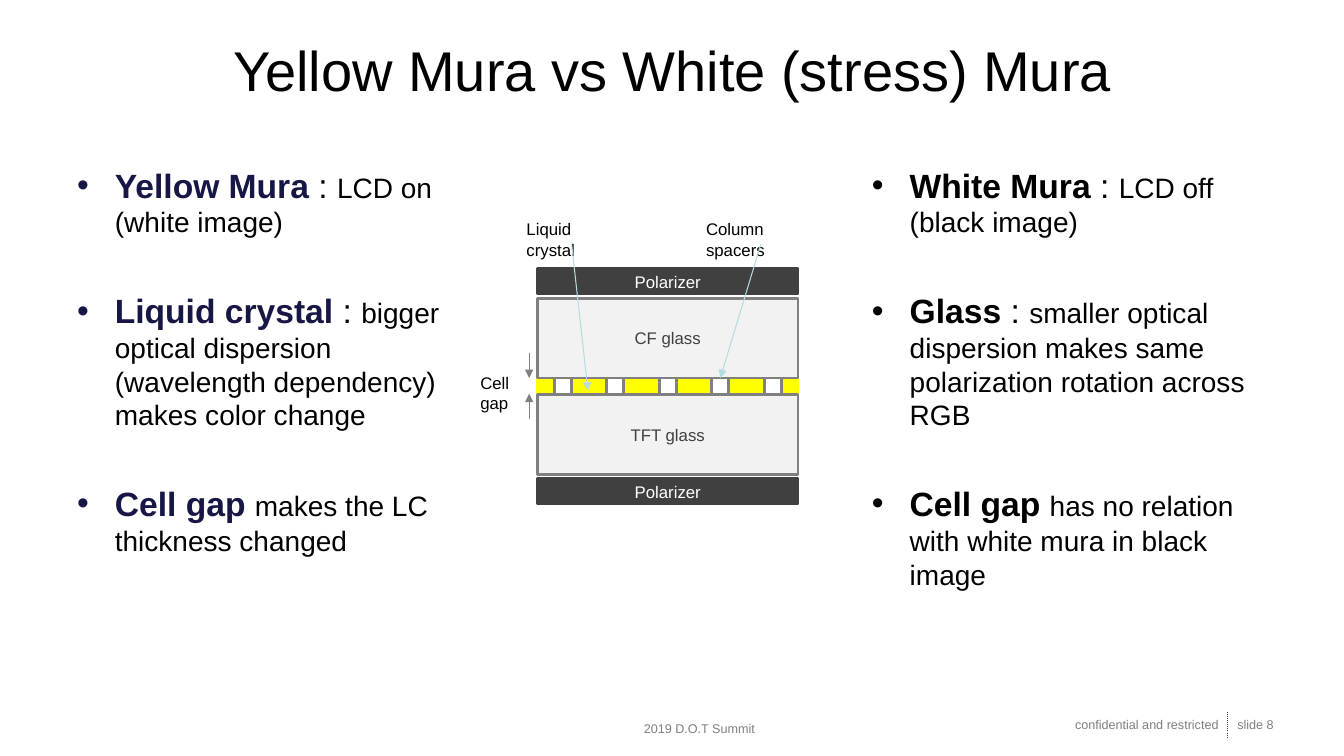
from pptx import Presentation
from pptx.dml.color import RGBColor
from pptx.enum.dml import MSO_LINE
from pptx.enum.shapes import MSO_CONNECTOR, MSO_SHAPE
from pptx.enum.text import MSO_ANCHOR, PP_ALIGN
from pptx.oxml.ns import qn
from pptx.util import Emu, Pt
from lxml import etree

LEFT, MID, RIGHT = PP_ALIGN.LEFT, PP_ALIGN.CENTER, PP_ALIGN.RIGHT
TOP, CENTER = MSO_ANCHOR.TOP, MSO_ANCHOR.MIDDLE
RECT, LINE = MSO_SHAPE.RECTANGLE, MSO_CONNECTOR.STRAIGHT
DOTS = MSO_LINE.ROUND_DOT

BLACK, WHITE, NAVY = "000000", "FFFFFF", "171745"
DARK, GREY, DIM, PALE = "404040", "808080", "7F7F7F", "F2F2F2"
YELLOW, TEAL = "FFFF00", "B6DCDF"


def px(*sizes):
    return [Emu(size * 9525) for size in sizes]


def color(code):
    return RGBColor.from_string(code)


class Deck:
    face = "Arial"

    def __init__(self, wide, high):
        self.file = Presentation()
        self.file.slide_width, self.file.slide_height = px(wide, high)
        self.slide = self.file.slides.add_slide(self.file.slide_layouts[5])

    def font(self, item, size, ink, bold=False):
        item.font.name, item.font.size = self.face, Pt(size)
        item.font.color.rgb, item.font.bold = color(ink), bold

    def label(self, shape, text, size, ink, align, anchor=TOP):
        frame = shape.text_frame
        frame.word_wrap, frame.vertical_anchor = True, anchor
        frame.text = text
        para = frame.paragraphs[0]
        para.alignment = align
        self.font(para, size, ink)

    def title(self, text, box):
        shape = self.slide.shapes.title
        shape.left, shape.top, shape.width, shape.height = px(*box)
        self.label(shape, text, 40, BLACK, MID)

    def text(self, text, box, size, ink, align=LEFT):
        shape = self.slide.shapes.add_textbox(*px(*box))
        self.label(shape, text, size, ink, align)
        return shape

    def points(self, items, box, ink):
        frame = self.slide.shapes.add_textbox(*px(*box)).text_frame
        frame.word_wrap = True
        for i, (term, colon, rest) in enumerate(items):
            para = frame.paragraphs[0] if i == 0 else frame.add_paragraph()
            para.space_before = Pt(37 if i else 0)
            props = para._p.get_or_add_pPr()
            props.set("marL", str(px(36)[0]))
            props.set("indent", str(px(-36)[0]))
            etree.SubElement(props, qn("a:buFont"), typeface=self.face)
            etree.SubElement(props, qn("a:buChar"), char="•")
            parts = ((term, 24, ink, True), (colon, 24, BLACK, False),
                     (rest, 20, BLACK, False))
            for words, size, tint, bold in parts:
                if words:
                    run = para.add_run()
                    run.text = words
                    self.font(run, size, tint, bold)

    def rect(self, box, fill, edge, text="", ink=BLACK):
        shape = self.slide.shapes.add_shape(RECT, *px(*box))
        shape.shadow.inherit = False
        shape.fill.solid()
        shape.fill.fore_color.rgb = color(fill)
        shape.line.color.rgb, shape.line.width = color(edge), Pt(2)
        if text:
            self.label(shape, text, 12, ink, MID, CENTER)
        return shape

    def line(self, ends, ink, width, head=True, dash=None):
        link = self.slide.shapes.add_connector(LINE, *px(*ends))
        link.line.color.rgb, link.line.width = color(ink), Pt(width)
        if dash:
            link.line.dash_style = dash
        props = link._element.spPr
        if head:
            etree.SubElement(props.find(qn("a:ln")), qn("a:tailEnd"),
                             type="triangle")
        etree.SubElement(props, qn("a:effectLst"))
        return link


def main():
    deck = Deck(1280, 720)

    # Footer
    deck.text("slide 8", (1169, 678, 95, 24), 9, DIM)
    deck.text("confidential and restricted", (936, 678, 234, 24), 9, DIM, RIGHT)
    deck.line((1169, 678, 1169, 702), DARK, 0.75, head=False, dash=DOTS)
    deck.text("2019 D.O.T Summit", (549, 682, 234, 24), 9, DIM, MID)

    # Title and the two lists
    deck.title("Yellow Mura vs White (stress) Mura", (64, 29, 1152, 120))
    deck.points([
        ("Yellow Mura ", ": ", "LCD on (white image)"),
        ("Liquid crystal ", ": ", "bigger optical dispersion "
         "(wavelength dependency) makes color change"),
        ("Cell gap ", "", "makes the LC thickness changed"),
    ], (64, 152, 380, 475), NAVY)
    deck.points([
        ("White Mura ", ": ", "LCD off (black image)"),
        ("Glass", " : ", "smaller optical dispersion makes same "
         "polarization rotation across RGB"),
        ("Cell gap ", "", "has no relation with white mura in black image"),
    ], (821, 152, 396, 475), BLACK)

    # Panel layers
    deck.rect((512, 360, 248, 16), YELLOW, YELLOW)
    for name, top, high, fill, edge, ink in (
            ("Polarizer", 256, 24, DARK, DARK, WHITE),
            ("CF glass", 284, 76, PALE, GREY, DARK),
            ("TFT glass", 376, 76, PALE, GREY, DARK),
            ("Polarizer", 456, 24, DARK, DARK, WHITE)):
        deck.rect((512, top, 248, high), fill, edge, name, ink)
    posts = [deck.rect((528 + 50 * i, 360, 16, 16), WHITE, GREY)
             for i in range(5)]

    # Labels
    fluid = deck.text("Liquid crystal", (492, 204, 105, 29), 12, BLACK)
    column = deck.text("Column spacers", (663, 204, 123, 29), 12, BLACK)
    deck.text("Cell gap", (448, 350, 71, 29), 12, BLACK)

    # Arrows
    deck.line((504, 336, 504, 360), GREY, 1)
    deck.line((504, 399, 504, 375), GREY, 1)
    link = deck.line((544, 233, 560, 372), TEAL, 0.75)
    link.begin_connect(fluid, 2)
    link = deck.line((725, 233, 686, 360), TEAL, 0.75)
    link.begin_connect(column, 2)
    link.end_connect(posts[3], 0)

    deck.file.save("out.pptx")


if __name__ == "__main__":
    main()
